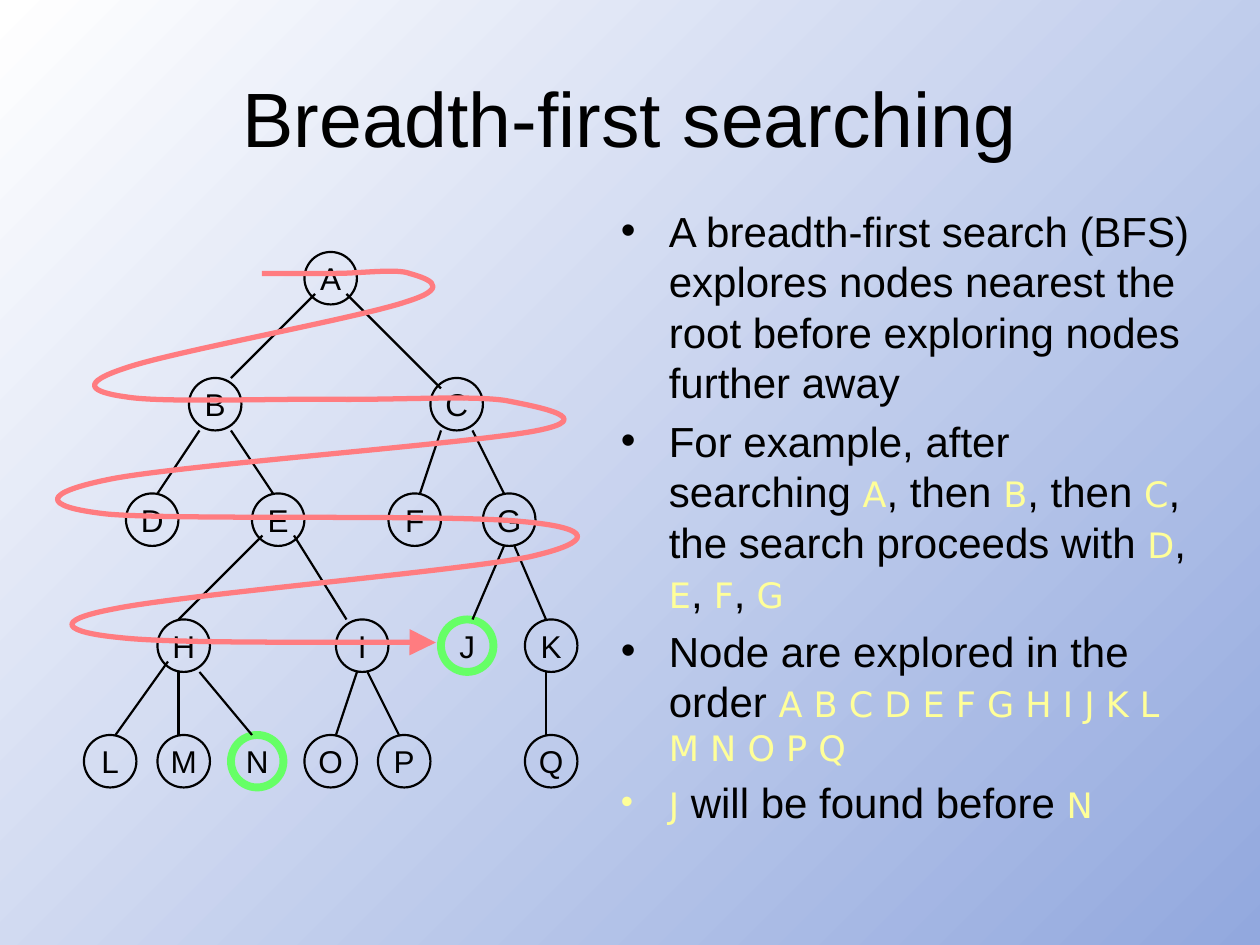
from lxml import etree
from pptx import Presentation
from pptx.dml.color import RGBColor
from pptx.enum.shapes import MSO_CONNECTOR, MSO_SHAPE
from pptx.enum.text import MSO_ANCHOR, PP_ALIGN
from pptx.oxml.ns import qn
from pptx.util import Inches, Pt

STRAIGHT, ELLIPSE = MSO_CONNECTOR.STRAIGHT, MSO_SHAPE.OVAL
MIDDLE, CENTER = MSO_ANCHOR.MIDDLE, PP_ALIGN.CENTER

COLORS = {"text": "000000", "node_name": "FFFF99", "goal": "66FF66",
          "route": "FF7C80", "light": "FFFFFF", "dark": "92A8DE"}
GRID = 1 / 12
NODE_SIZE = 5
GOALS = "JN"
LEVELS = [
    (24, {"A": 29}),
    (36, {"B": 18, "C": 41}),
    (47, {"D": 12, "E": 24, "F": 37, "G": 46}),
    (59, {"H": 15, "I": 32, "J": 42, "K": 50}),
    (70, {"L": 8, "M": 15, "N": 22, "O": 29, "P": 36, "Q": 50}),
]
EDGES = [
    (22, 36, 30, 28), (33, 28, 42, 37),
    (19, 41, 15, 47), (22, 41, 26, 47), (42, 41, 40, 47), (45, 41, 48, 47),
    (17, 59, 25, 51), (33, 59, 28, 51), (45, 59, 48, 52), (52, 59, 49, 52),
    (11, 70, 16, 63), (17, 70, 17, 64), (24, 70, 19, 64),
    (32, 70, 34, 64), (38, 70, 35, 64), (52, 70, 52, 64),
]
ROUTE_START = (2.08, 2.17)
ROUTE_CURVES = [
    (2.18, 2.17, 2.47, 2.17, 2.67, 2.17), (2.86, 2.17, 3.15, 2.13, 3.25, 2.17),
    (3.35, 2.2, 3.62, 2.27, 3.24, 2.39), (2.87, 2.52, 1.37, 2.79, 1, 2.92),
    (0.63, 3.04, 0.71, 3.11, 1, 3.15), (1.29, 3.2, 2.25, 3.16, 2.75, 3.17),
    (3.25, 3.17, 3.77, 3.14, 4.02, 3.18), (4.27, 3.23, 4.77, 3.32, 4.25, 3.42),
    (3.73, 3.52, 1.46, 3.69, 0.89, 3.8), (0.33, 3.91, 0.31, 4.02, 0.85, 4.08),
    (1.39, 4.13, 3.59, 4.08, 4.15, 4.14), (4.71, 4.19, 4.73, 4.3, 4.2, 4.42),
    (3.66, 4.53, 1.46, 4.72, 0.92, 4.83), (0.38, 4.93, 0.53, 5.02, 0.95, 5.06),
    (1.38, 5.11, 2.94, 5.09, 3.46, 5.1),
]
BULLETS = [
    "A breadth-first search (BFS) explores nodes nearest the root before exploring nodes further away",
    "For example, after searching |A|, then |B|, then |C|, the search proceeds with |D|,| E|,| F|,| G",
    "Node are explored in the order |A B C D E F G H I J K L M N O P Q",
    "|J| will be found before |N",
]


class SlideBuilder:
    """Hold the style and the current slide, and add elements to it."""

    def __init__(self, slide):
        self.slide = slide
        self.tree = slide.shapes

    def color(self, name):
        return RGBColor.from_string(COLORS[name])

    def font(self, font, size, name="Arial", color="text"):
        font.size, font.name = Pt(size), name
        font.color.rgb = self.color(color)

    def line(self, line, color="text", width=1.25):
        line.color.rgb, line.width = self.color(color), Pt(width)

    def background(self):
        fill = self.slide.background.fill
        fill.gradient()
        fill.gradient_angle = 315
        for stop, name in zip(fill.gradient_stops, ("light", "dark")):
            stop.color.rgb = self.color(name)

    def title(self, text, left, top, width, height):
        title = self.slide.shapes.title
        title.left, title.top = Inches(left), Inches(top)
        title.width, title.height = Inches(width), Inches(height)
        title.text_frame.text = text
        title.text_frame.vertical_anchor = MIDDLE
        paragraph = title.text_frame.paragraphs[0]
        paragraph.alignment = CENTER
        self.font(paragraph.font, 44)

    def bullets(self, items, left, top, width, height):
        box = self.slide.shapes.add_textbox(
            Inches(left), Inches(top), Inches(width), Inches(height))
        frame = box.text_frame
        frame.word_wrap = True
        for index, item in enumerate(items):
            paragraph = frame.add_paragraph() if index else frame.paragraphs[0]
            paragraph.space_before = Pt(4.8)
            properties = paragraph._p.get_or_add_pPr()
            properties.set("marL", str(Inches(0.38)))
            properties.set("indent", str(Inches(-0.38)))
            etree.SubElement(properties, qn("a:buFont"), typeface="Arial")
            etree.SubElement(properties, qn("a:buChar"), char="•")
            for position, text in enumerate(item.split("|")):
                if not text:
                    continue
                run = paragraph.add_run()
                run.text = text
                if position % 2:
                    self.font(run.font, 20, "DejaVu Sans", "node_name")
                else:
                    self.font(run.font, 24)

    def start_tree(self):
        self.tree = self.slide.shapes.add_group_shape().shapes

    def node(self, label, column, row):
        size = Inches(NODE_SIZE * GRID)
        shape = self.tree.add_shape(
            ELLIPSE, Inches(column * GRID), Inches(row * GRID), size, size)
        shape.shadow.inherit = False
        shape.fill.background()
        if label in GOALS:
            self.line(shape.line, "goal", 4.5)
        else:
            self.line(shape.line)
        frame = shape.text_frame
        frame.word_wrap = False
        frame.vertical_anchor = MIDDLE
        frame.text = label
        paragraph = frame.paragraphs[0]
        paragraph.alignment = CENTER
        self.font(paragraph.font, 18)

    def edge(self, *ends):
        connector = self.tree.add_connector(
            STRAIGHT, *(Inches(end * GRID) for end in ends))
        self.line(connector.line)
        etree.SubElement(connector._element.spPr, qn("a:effectLst"))

    def route(self, start, curves):
        """Draw cubic curves by joining each three line points into one curve."""
        points = [(Inches(curve[i]), Inches(curve[i + 1]))
                  for curve in curves for i in (0, 2, 4)]
        builder = self.slide.shapes.build_freeform(Inches(start[0]), Inches(start[1]))
        builder.add_line_segments(points, close=False)
        shape = builder.convert_to_shape()
        outline = next(shape._element.iter(qn("a:path")))
        segments = outline.findall(qn("a:lnTo"))
        for first in range(0, len(segments), 3):
            curve = etree.SubElement(outline, qn("a:cubicBezTo"))
            for segment in segments[first:first + 3]:
                curve.append(segment[0])
                outline.remove(segment)
        shape.shadow.inherit = False
        shape.fill.background()
        self.line(shape.line, "route", 3)
        etree.SubElement(shape.line._get_or_add_ln(), qn("a:tailEnd"),
                         type="triangle", w="lg", len="lg")


def main():
    presentation = Presentation()
    presentation.slide_width, presentation.slide_height = Inches(10), Inches(7.5)
    builder = SlideBuilder(presentation.slides.add_slide(presentation.slide_layouts[5]))
    builder.background()
    builder.title("Breadth-first searching", 0.5, 0.3, 9, 1.25)
    builder.bullets(BULLETS, 4.83, 1.58, 4.75, 5.5)
    builder.start_tree()
    for row, nodes in LEVELS:
        for label, column in nodes.items():
            builder.node(label, column, row)
    for ends in EDGES:
        builder.edge(*ends)
    builder.route(ROUTE_START, ROUTE_CURVES)
    presentation.save("out.pptx")


if __name__ == "__main__":
    main()
